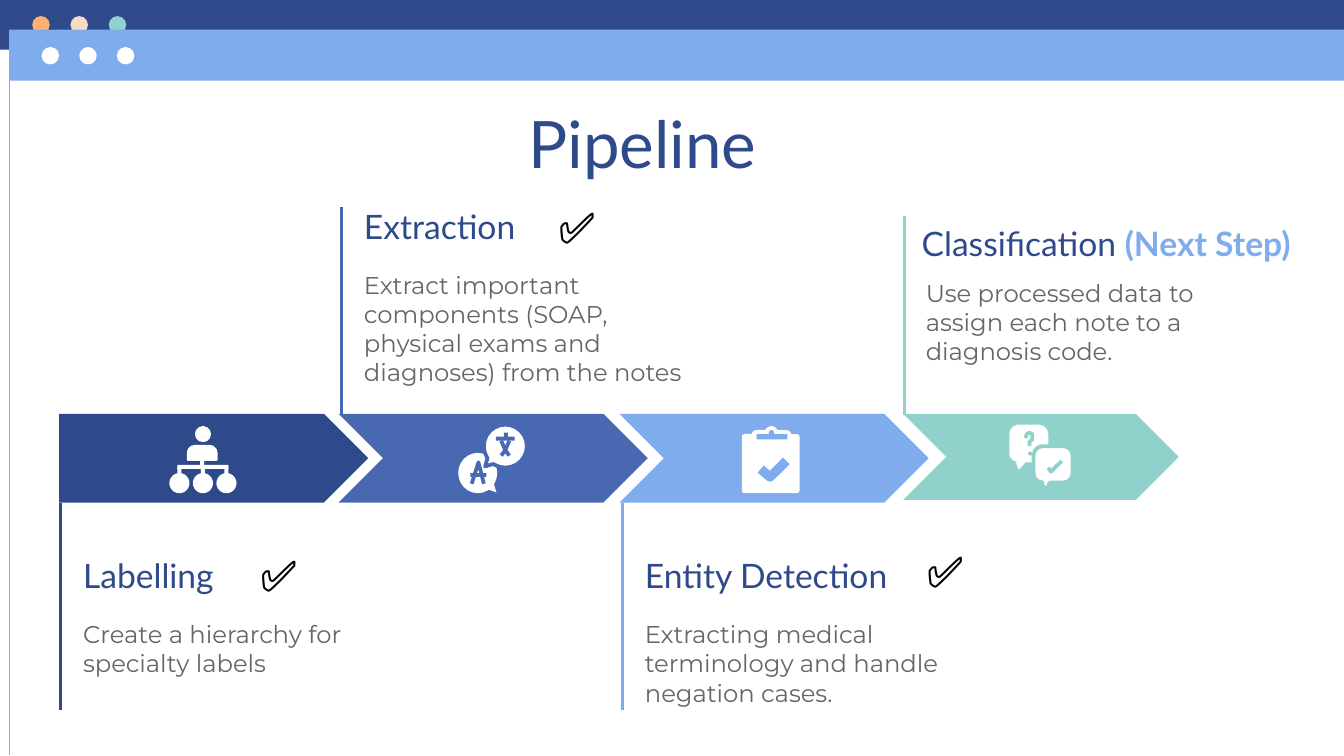
from lxml import etree
from pptx import Presentation
from pptx import util as u
from pptx.dml.color import RGBColor
from pptx.enum import shapes, text
from pptx.oxml.ns import qn

NAVY, INDIGO, SKY, MINT = "2F4A8A", "4869B1", "7EACEC", "90D1CB"
WHITE, GREY = "FFFFFF", "666666"
S = shapes.MSO_SHAPE
I = u.Inches
rgb = RGBColor.from_string

prs = Presentation()
prs.slide_width, prs.slide_height = I(10), I(10) * 9 // 16
s = prs.slides.add_slide(prs.slide_layouts[6])


def shape(kind, x, y, w, h, fill, adj=(), edge=None):
    sp = s.shapes.add_shape(kind, I(x), I(y), I(w), I(h))
    sp.shadow.inherit = False
    sp.fill.solid()
    sp.fill.fore_color.rgb = rgb(fill)
    for i, value in enumerate(adj):
        sp.adjustments[i] = value
    if edge:
        sp.line.color.rgb = rgb(edge)
        sp.line.width = u.Pt(2)
    else:
        sp.line.fill.background()


def label(x, y, w, h, runs, size, font, align=text.PP_ALIGN.LEFT,
          anchor=text.MSO_ANCHOR.TOP):
    tf = s.shapes.add_textbox(I(x), I(y), I(w), I(h)).text_frame
    tf.word_wrap = True
    tf.vertical_anchor = anchor
    tf.margin_left = tf.margin_right = tf.margin_top = tf.margin_bottom = I(0.1)
    p = tf.paragraphs[0]
    p.alignment = align
    for words, color, bold in runs:
        r = p.add_run()
        r.text = words
        r.font.size, r.font.name, r.font.bold = u.Pt(size), font, bold
        r.font.color.rgb = rgb(color)


# Window bars with their dots
shape(S.RECTANGLE, 0, 0, 10, 0.37, NAVY)
for i, color in enumerate(["FFB172", "F8DBC4", MINT]):
    shape(S.OVAL, 0.24 + 0.285 * i, 0.12, 0.13, 0.13, color)
shape(S.RECTANGLE, 0.07, 0.22, 9.93, 0.38, SKY)
for i in range(3):
    shape(S.OVAL, 0.31 + 0.28 * i, 0.35, 0.13, 0.13, WHITE)

# Title
label(2.46, 0.52, 4.64, 0.93, [("Pipeline", NAVY, False)], 35, "Lato",
      text.PP_ALIGN.CENTER, text.MSO_ANCHOR.BOTTOM)

# Pipeline arrows
for kind, x, w, h, color in [
    (S.CHEVRON, 2.52, 2.3, 0.66, INDIGO),
    (S.PENTAGON, 0.44, 2.3, 0.66, NAVY),
    (S.CHEVRON, 4.61, 2.3, 0.66, SKY),
    (S.CHEVRON, 6.72, 2.05, 0.64, MINT),
]:
    shape(kind, x, 3.08, w, h, color, [0.5])

# Window edge and step lines
for x, top, bottom, color, width in [
    (0.07, 0.22, 5.62, SKY, 0.75),
    (0.45, 3.74, 5.28, NAVY, 1.5),
    (2.54, 1.54, 3.08, INDIGO, 1.5),
    (4.63, 3.74, 5.28, SKY, 1.5),
    (6.73, 1.61, 3.09, MINT, 1.5),
]:
    line = s.shapes.add_connector(shapes.MSO_CONNECTOR.STRAIGHT,
                                  I(x), I(top), I(x), I(bottom))
    line.line.color.rgb = rgb(color)
    line.line.width = u.Pt(width)
    etree.SubElement(line._element.spPr, qn("a:effectLst"))

# Step headings and descriptions
for x, y, heading, body in [
    (0.52, 4.03, "Labelling", "Create a hierarchy for specialty labels"),
    (2.61, 1.43, "Extraction", "Extract important components (SOAP, "
     "physical exams and diagnoses) from the notes"),
    (4.7, 4.03, "Entity Detection", "Extracting medical terminology and "
     "handle negation cases."),
]:
    label(x, y, 2.22, 0.5, [(heading, NAVY, False)], 18, "Lato")
    label(x, y + 0.48, 2.69, 0.77, [(body, GREY, False)], 13, "Montserrat")
label(6.76, 1.56, 3.54, 0.48, [("Classification ", NAVY, False),
                               ("(Next Step)", SKY, True)], 18, "Lato")
label(6.79, 1.97, 2.4, 0.74, [("Use processed data to assign each note to a "
                               "diagnosis code.", GREY, False)], 13, "Montserrat")

# Done marks
for x, y in [(1.76, 3.98), (3.98, 1.39), (6.72, 3.95)]:
    label(x, y, 0.63, 0.59, [("✅", "000000", False)], 23, "Montserrat",
          text.PP_ALIGN.CENTER)

# Hierarchy icon
shape(S.OVAL, 1.45, 3.17, 0.12, 0.12, WHITE)
shape(S.ROUND_2_SAME_RECTANGLE, 1.39, 3.31, 0.23, 0.12, WHITE, [0.5, 0.1])
shape(S.RECTANGLE, 1.32, 3.46, 0.38, 0.03, WHITE)
for i in range(3):
    x = 1.26 + 0.175 * i
    shape(S.OVAL, x, 3.52, 0.15, 0.15, WHITE)
    shape(S.RECTANGLE, x + 0.06, 3.47, 0.03, 0.06, WHITE)
shape(S.RECTANGLE, 1.49, 3.42, 0.03, 0.06, WHITE)

# Translation icon: two speech bubbles and the bars of their letters
shape(S.OVAL_CALLOUT, 3.41, 3.37, 0.29, 0.3, WHITE, [0.48, 0.48])
shape(S.OVAL_CALLOUT, 3.6, 3.16, 0.32, 0.32, WHITE, [-0.47, 0.47], INDIGO)
shape(S.RECTANGLE, 3.5, 3.52, 0.12, 0.03, INDIGO)
shape(S.RECTANGLE, 3.69, 3.25, 0.14, 0.03, INDIGO)
shape(S.RECTANGLE, 3.75, 3.22, 0.03, 0.04, INDIGO)

# Clipboard icon
shape(S.ROUNDED_RECTANGLE, 5.52, 3.23, 0.43, 0.44, WHITE, [0.05])
shape(S.OVAL, 5.69, 3.17, 0.1, 0.1, WHITE)
shape(S.ROUNDED_RECTANGLE, 5.59, 3.2, 0.3, 0.1, WHITE, [0.4])
shape(S.RECTANGLE, 5.63, 3.23, 0.23, 0.04, SKY)
shape(S.OVAL, 5.72, 3.2, 0.04, 0.05, SKY)

# Question and answer icon: two speech bubbles and the dot of the mark
shape(S.ROUNDED_RECTANGULAR_CALLOUT, 7.51, 3.16, 0.29, 0.28, WHITE,
      [-0.26, 0.7, 0.25])
shape(S.ROUNDED_RECTANGULAR_CALLOUT, 7.69, 3.32, 0.29, 0.27, WHITE,
      [-0.17, 0.7, 0.25], MINT)
shape(S.OVAL, 7.65, 3.36, 0.03, 0.03, MINT)

# Strokes inside the icons
for color, width, points in [
    (INDIGO, 2, [(3.51, 3.6), (3.56, 3.44), (3.6, 3.6)]),
    (INDIGO, 2, [(3.73, 3.28), (3.76, 3.35), (3.79, 3.39)]),
    (INDIGO, 2, [(3.79, 3.28), (3.76, 3.35), (3.73, 3.39)]),
    (SKY, 5, [(5.66, 3.49), (5.73, 3.55), (5.85, 3.43)]),
    (MINT, 2, [(7.8, 3.48), (7.82, 3.51), (7.9, 3.43)]),
    (MINT, 2, [(7.63, 3.26), (7.64, 3.23), (7.66, 3.22), (7.68, 3.23),
               (7.68, 3.27), (7.66, 3.29), (7.66, 3.32)]),
]:
    corners = [(I(x), I(y)) for x, y in points]
    fb = s.shapes.build_freeform(*corners[0])
    fb.add_line_segments(corners[1:], close=False)
    sp = fb.convert_to_shape()
    sp.shadow.inherit = False
    sp.fill.background()
    sp.line.color.rgb = rgb(color)
    sp.line.width = u.Pt(width)

prs.save("out.pptx")
